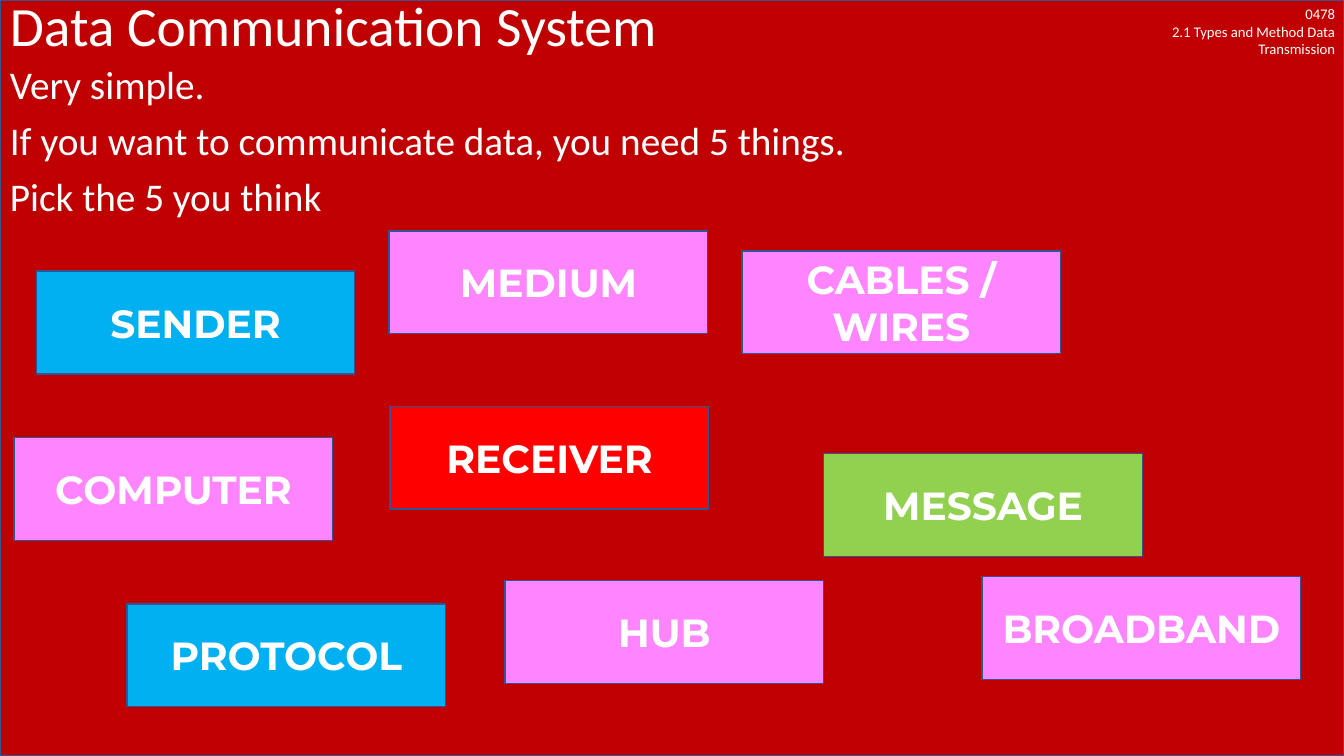
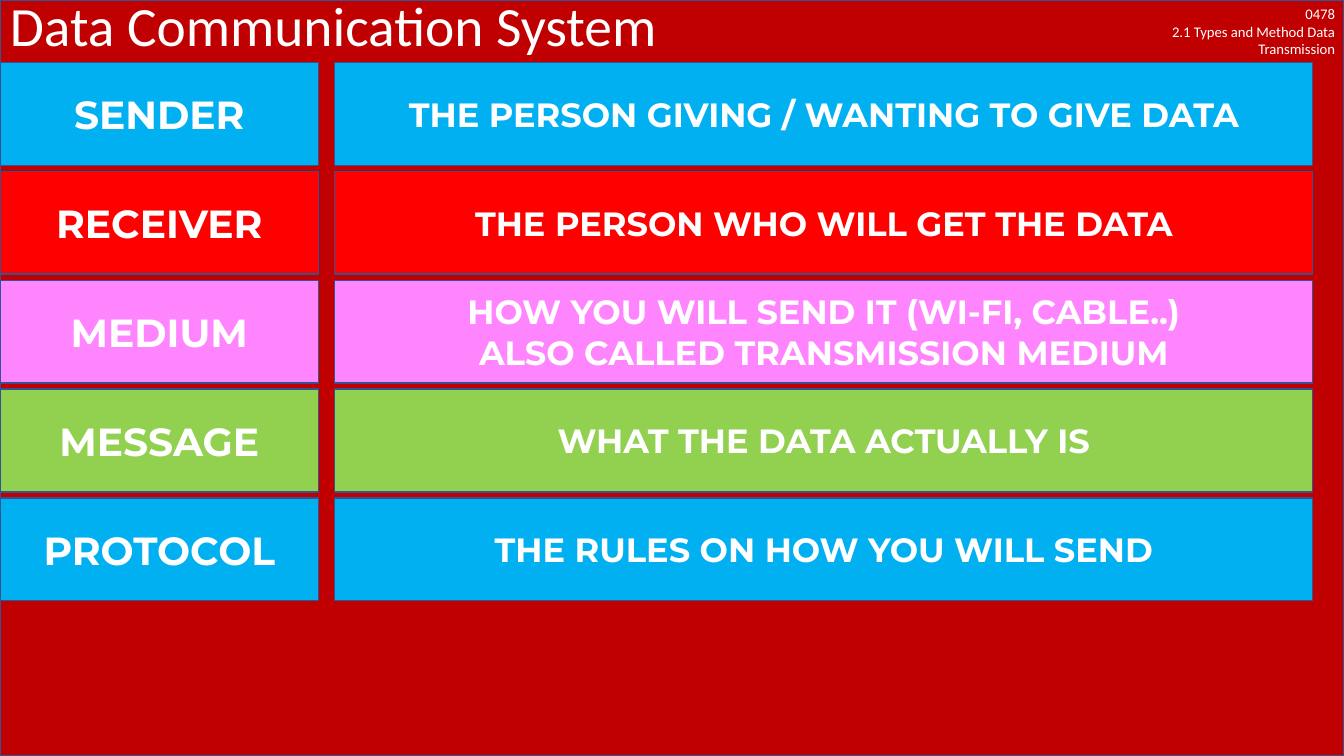
from pptx import Presentation
from pptx.dml.color import RGBColor
from pptx.enum.shapes import MSO_SHAPE
from pptx.enum.text import MSO_ANCHOR, PP_ALIGN
from pptx.util import Inches, Pt

RECT = MSO_SHAPE.RECTANGLE
TOP, MIDDLE = MSO_ANCHOR.TOP, MSO_ANCHOR.MIDDLE
LEFT, CENTER, RIGHT = PP_ALIGN.LEFT, PP_ALIGN.CENTER, PP_ALIGN.RIGHT

WHITE = RGBColor(0xFF, 0xFF, 0xFF)
DARK_RED = RGBColor(0xC0, 0x00, 0x00)
RED = RGBColor(0xFF, 0x00, 0x00)
BLUE = RGBColor(0x00, 0xB0, 0xF0)
PINK = RGBColor(0xFF, 0x85, 0xFF)
GREEN = RGBColor(0x92, 0xD0, 0x50)
OUTLINE = RGBColor(0x32, 0x54, 0x91)

BODY_FONT, CARD_FONT = "Calibri", "Montserrat"
SLIDE_W, SLIDE_H = 13.33, 7.5
CARD_W, CARD_H = 3.16, 1.02

CARDS = [
    ("SENDER", BLUE, 0.36, 2.69),
    ("MEDIUM", PINK, 3.86, 2.29),
    ("CABLES / WIRES", PINK, 7.36, 2.49),
    ("COMPUTER", PINK, 0.14, 4.34),
    ("RECEIVER", RED, 3.87, 4.03),
    ("MESSAGE", GREEN, 8.17, 4.5),
    ("PROTOCOL", BLUE, 1.26, 5.99),
    ("HUB", PINK, 5.01, 5.76),
    ("BROADBAND", PINK, 9.74, 5.72),
]
DEFINITIONS = [
    ("SENDER", BLUE, ["THE PERSON GIVING / WANTING TO GIVE DATA"]),
    ("RECEIVER", RED, ["THE PERSON WHO WILL GET THE DATA"]),
    ("MEDIUM", PINK, ["HOW YOU WILL SEND IT (WI-FI, CABLE..)",
                      "ALSO CALLED TRANSMISSION MEDIUM"]),
    ("MESSAGE", GREEN, ["WHAT THE DATA ACTUALLY IS"]),
    ("PROTOCOL", BLUE, ["THE RULES ON HOW YOU WILL SEND"]),
]


def write(sp, lines, size, font=BODY_FONT, bold=False, align=LEFT,
          anchor=TOP, line_spacing=1.0, gap=0):
    """Fill a shape with one formatted paragraph per line."""
    tf = sp.text_frame
    tf.word_wrap = True
    tf.vertical_anchor = anchor
    for i, line in enumerate(lines):
        p = tf.add_paragraph() if i else tf.paragraphs[0]
        p.alignment = align
        p.line_spacing = line_spacing
        p.space_before = Pt(gap if i else 0)
        r = p.add_run()
        r.text = line
        r.font.name, r.font.size, r.font.bold = font, Pt(size), bold
        r.font.color.rgb = WHITE


def add_box(s, x, y, w, h, fill):
    """Add an outlined rectangle."""
    sp = s.shapes.add_shape(RECT, Inches(x), Inches(y), Inches(w), Inches(h))
    sp.shadow.inherit = False
    sp.fill.solid()
    sp.fill.fore_color.rgb = fill
    sp.line.color.rgb = OUTLINE
    sp.line.width = Pt(1)
    return sp


def add_text(s, x, y, w, h, lines, size, **fmt):
    """Add a text box."""
    sp = s.shapes.add_textbox(Inches(x), Inches(y), Inches(w), Inches(h))
    write(sp, lines, size, **fmt)


def add_card(s, x, y, lines, fill, w=CARD_W, size=28):
    """Add a coloured card with bold centred text."""
    sp = add_box(s, x, y, w, CARD_H, fill)
    write(sp, lines, size, font=CARD_FONT, bold=True, align=CENTER, anchor=MIDDLE)


def new_slide(prs, title):
    """Add a slide with the shared background, course label and title."""
    s = prs.slides.add_slide(prs.slide_layouts[6])
    add_box(s, 0, 0, SLIDE_W, SLIDE_H, DARK_RED)
    add_text(s, 11.24, 0, 2.1, 0.63,
             ["0478", "2.1 Types and Method Data Transmission"], 10.5, align=RIGHT)
    add_text(s, 0, 0, SLIDE_W, 0.57, [title], 39.6, anchor=MIDDLE, line_spacing=0.9)
    return s


def add_quiz(s, x, y, w, h):
    """Place the question and the scattered answer cards."""
    add_text(s, x, y, w, h,
             ["Very simple.",
              "If you want to communicate data, you need 5 things.",
              "Pick the 5 you think"],
             28, line_spacing=0.9, gap=10)
    for label, fill, left, top in CARDS:
        add_card(s, x + left, top, [label], fill)


def add_definitions(s, x, y, w, pitch=1.08, gutter=0.16):
    """Place rows pairing each term with its meaning."""
    offset = CARD_W + gutter
    for i, (term, fill, meaning) in enumerate(DEFINITIONS):
        top = y + i * pitch
        add_card(s, x, top, [term], fill)
        add_card(s, x + offset, top, meaning, fill, w=w - offset, size=24)


def main():
    """Build and save the presentation."""
    prs = Presentation()
    prs.slide_width, prs.slide_height = Inches(SLIDE_W), Inches(SLIDE_H)
    title = "Data Communication System"
    add_quiz(new_slide(prs, title), 0, 0.6, SLIDE_W, 6.9)
    add_definitions(new_slide(prs, title), 0, 0.62, 13.02)
    prs.save("out.pptx")


if __name__ == "__main__":
    main()
